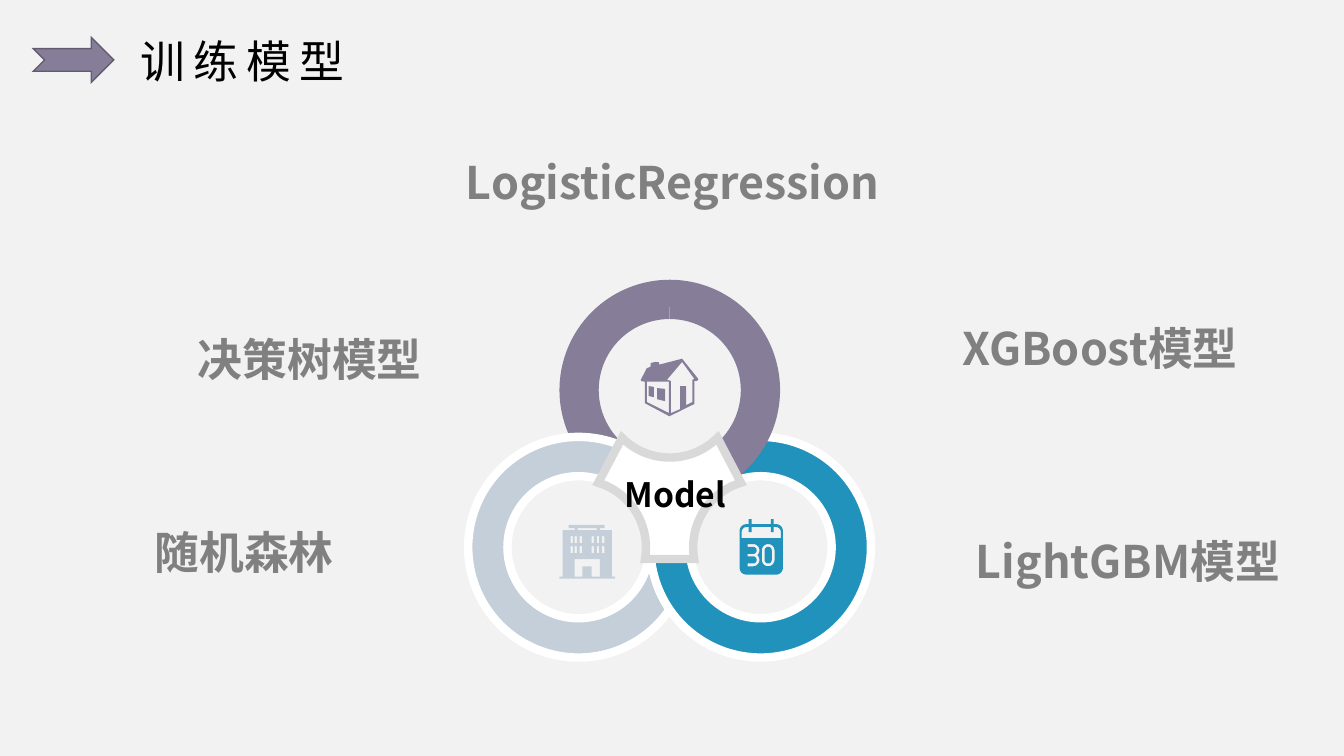
"""Build the model training slide with three linked rings and five labels."""
from math import cos, radians, sin
from lxml.etree import SubElement
from pptx import Presentation
from pptx.dml.color import RGBColor
from pptx.enum.shapes import MSO_SHAPE
from pptx.enum.text import MSO_ANCHOR, MSO_AUTO_SIZE, PP_ALIGN
from pptx.oxml.ns import qn
from pptx.util import Cm, Pt

FONT = "Noto Sans CJK SC"
HUES = {"back": "F2F2F2", "plum": "867D98", "edge": "635C70", "mist": "C4CFD9",
        "blue": "2192BC", "white": "FFFFFF", "rim": "D9D9D9",
        "gray": "808080", "black": "000000"}
LABELS = [("随机森林", 2.41, 13.23, 7.49), ("决策树模型", 4.47, 8.36, 6.68),
          ("LightGBM模型", 25.02, 13.44, 6.83),
          ("LogisticRegression", 13.61, 3.91, 6.68),
          ("XGBoost模型", 24.31, 8.08, 6.83)]
TOP, LEFT, RIGHT = (16.88, 9.83), (14.58, 13.79), (19.17, 13.79)
OUTER, BAND, NOTCH = 2.78, 0.99, 1.7
HALF_L, HALF_R = (54, 162), (162, 54)
RINGS = [(MSO_SHAPE.BLOCK_ARC, TOP, "plum", HALF_L, None),
         (MSO_SHAPE.DONUT, LEFT, "mist", (), "white"),
         (MSO_SHAPE.DONUT, RIGHT, "blue", (), "white"),
         (MSO_SHAPE.BLOCK_ARC, TOP, "plum", HALF_R, None)]


def arc(x, y, r, start, end, steps=24):
    turns = [radians(start + (end - start) * i / steps) for i in range(steps + 1)]
    return [(x + r * cos(t), y + r * sin(t)) for t in turns]


def box(x, y, w, h):
    return [(x, y), (x + w, y), (x + w, y + h), (x, y + h)]


def pill(r):
    return arc(72, 79, r, 180, 360) + arc(72, 103, r, 0, 180)


HUB = (arc(*TOP, NOTCH, 135, 45) + arc(*RIGHT, NOTCH, 253, 170)
       + arc(*LEFT, NOTCH, 10, -73))
HOUSE = [
    [(104, 0), (145, 51), (142, 56), (135, 56), (135, 114), (72, 145), (10, 112),
     (10, 58), (0, 56), (0, 53), (15, 24), (25, 20), (25, 11), (36, 8), (46, 9),
     (46, 15)],
    [(15, 58), (71, 58), (71, 137), (15, 109)],
    [(104, 8), (66, 53), (76, 56), (76, 137), (99, 127), (99, 69), (114, 69),
     (114, 117), (130, 109), (130, 53), (135, 51)],
    [(41, 74), (61, 76), (61, 107), (41, 102)],
    [(20, 69), (33, 71), (33, 97), (20, 94)]]
OFFICE = [
    [(23, 0), (114, 0), (114, 8), (102, 8), (102, 13), (132, 13), (132, 130),
     (140, 130), (140, 135), (0, 135), (0, 130), (8, 130), (8, 13), (38, 13),
     (38, 8), (23, 8)],
    box(46, 8, 48, 5),
    [(38, 86), (102, 86), (102, 130), (81, 130), (81, 104), (58, 104), (58, 130),
     (38, 130)],
    *[box(x, y, 6, 18) for y in (28, 53) for x in (28, 38, 51, 81, 94, 107)]]
DATE = [
    arc(17, 30, 17, 180, 270)
    + [(23, 13), (23, 0), (30, 0), (30, 13), (79, 13), (79, 0), (86, 0), (86, 13)]
    + arc(92, 30, 17, 270, 360) + arc(92, 123, 17, 0, 90) + arc(17, 123, 17, 90, 180),
    [(5, 48)] + arc(18, 33, 13, 180, 270)
    + [(23, 20), (23, 33), (30, 33), (30, 20), (79, 20), (79, 33), (86, 33), (86, 20)]
    + arc(91, 33, 13, 270, 360) + [(104, 48)],
    pill(16), pill(9),
    [(20, 63)] + arc(34, 79, 16, -90, 45) + arc(34, 103, 16, -45, 90)
    + [(20, 119), (20, 112)] + arc(34, 103, 9, 90, -90)
    + [(20, 94), (20, 88)] + arc(34, 79, 9, 90, -90) + [(20, 70)]]
ICONS = [(HOUSE, 16.15, 9.04, "plum"), (OFFICE, 14.1, 13.23, "mist"),
         (DATE, 18.64, 13.08, "blue")]


def hue(name):
    return RGBColor.from_string(HUES[name])


def paint(shape, fill, line=None, width=6):
    shape.shadow.inherit = False
    shape.fill.solid()
    shape.fill.fore_color.rgb = hue(fill)
    if line:
        shape.line.color.rgb = hue(line)
        shape.line.width = Pt(width)
        SubElement(shape.line._get_or_add_ln(), qn("a:miter"), lim="800000")
    else:
        shape.line.fill.background()


def draw(loops, x, y, scale, fill, line=None):
    pen = None
    for loop in loops:
        dots = [(Cm(x + a * scale), Cm(y + b * scale)) for a, b in loop]
        if pen is None:
            pen = slide.shapes.build_freeform(*dots[0])
        else:
            pen.move_to(*dots[0])
        pen.add_line_segments(dots[1:], close=True)
    paint(pen.convert_to_shape(), fill, line)


def write(shape, text, size=32, color="black", bold=False, align=PP_ALIGN.LEFT,
          wrap=True, pad=(0.25, 0.13), gap=0):
    frame = shape.text_frame
    frame.word_wrap = wrap
    frame.auto_size = MSO_AUTO_SIZE.NONE
    frame.vertical_anchor = MSO_ANCHOR.TOP
    frame.margin_left = frame.margin_right = Cm(pad[0])
    frame.margin_top = frame.margin_bottom = Cm(pad[1])
    para = frame.paragraphs[0]
    para.alignment = align
    run = para.add_run()
    run.text = text
    font = run.font
    font.name, font.size, font.bold = FONT, Pt(size), bold
    font.color.rgb = hue(color)
    props = run._r.get_or_add_rPr()
    SubElement(props, qn("a:ea"), typeface=FONT)
    if gap:
        props.set("spc", str(gap * 100))


deck = Presentation()
deck.slide_width, deck.slide_height = Cm(33.87), Cm(19.05)
slide = deck.slides.add_slide(deck.slide_layouts[5])
slide.background.fill.solid()
slide.background.fill.fore_color.rgb = hue("back")

title = slide.shapes.title
title.left, title.top, title.width, title.height = Cm(3.28), Cm(0.71), Cm(10.08), Cm(1.63)
write(title, "训练模型", gap=6)
arrow = slide.shapes.add_shape(MSO_SHAPE.NOTCHED_RIGHT_ARROW,
                               Cm(0.84), Cm(0.94), Cm(2.03), Cm(1.14))
paint(arrow, "plum", "edge", 1)

for kind, (x, y), fill, ends, line in RINGS:
    ring = slide.shapes.add_shape(kind, Cm(x - OUTER), Cm(y - OUTER),
                                  Cm(2 * OUTER), Cm(2 * OUTER))
    for i, value in enumerate((*ends, BAND / (2 * OUTER))):
        ring.adjustments[i] = value
    paint(ring, fill, line)
draw([HUB], 0, 0, 1, "white", "rim")
for loops, x, y, fill in ICONS:
    draw(loops, x, y, 0.01, fill)

for text, x, y, w in LABELS:
    write(slide.shapes.add_textbox(Cm(x), Cm(y), Cm(w), Cm(0.69)), text, color="gray",
          bold=True, align=PP_ALIGN.CENTER, wrap=False, pad=(0.2, 0))
write(slide.shapes.add_textbox(Cm(15.49), Cm(11.81), Cm(3.51), Cm(1.27)), "Model",
      size=24, bold=True)
deck.save("out.pptx")
